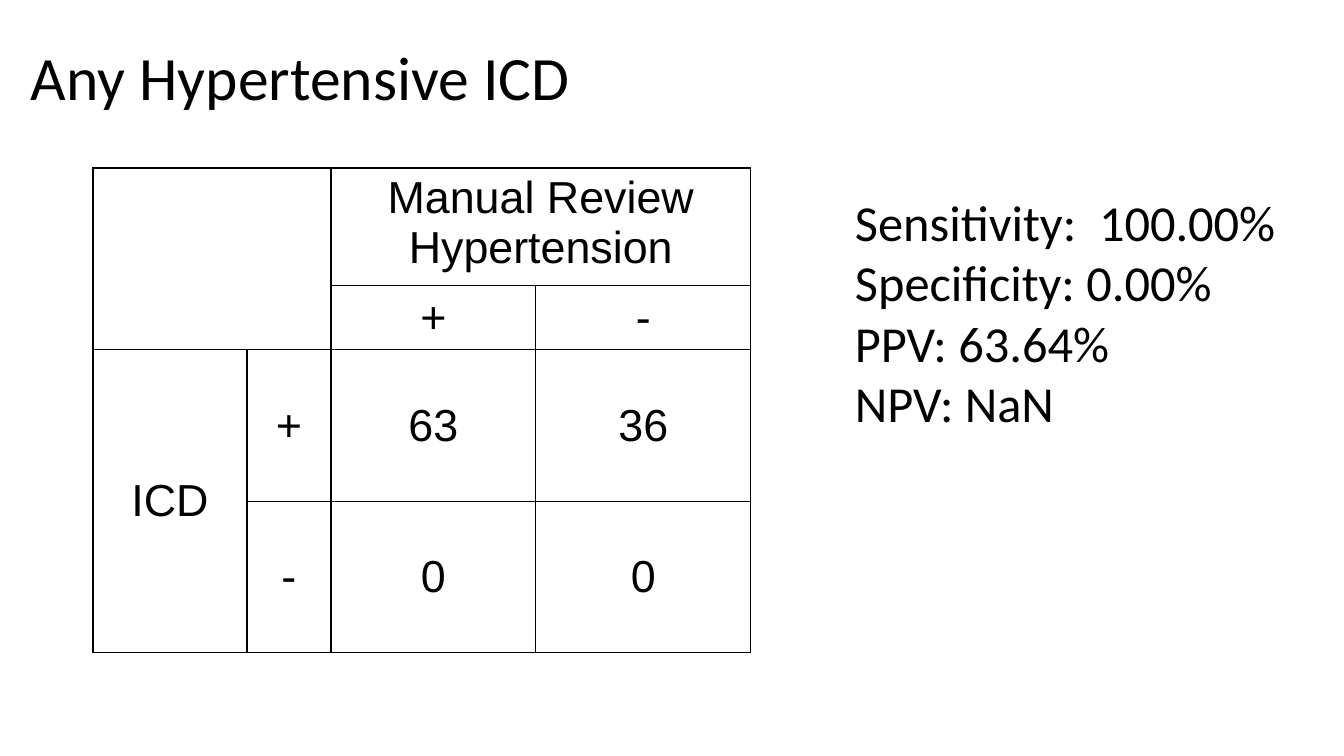
from dataclasses import dataclass

from lxml.etree import SubElement
from pptx import Presentation
from pptx.dml.color import RGBColor
from pptx.enum.text import MSO_ANCHOR, PP_ALIGN
from pptx.oxml.ns import qn
from pptx.util import Emu, Pt

SCALE = 914400 / 100.8
BLACK = "000000"


@dataclass(frozen=True)
class TextBlock:
    left: int
    top: int
    width: int
    height: int
    lines: tuple[str, ...]
    size: int
    anchor: MSO_ANCHOR = MSO_ANCHOR.TOP
    line_spacing: float = 1.0


@dataclass(frozen=True)
class TableCell:
    row: int
    column: int
    text: str = ""
    row_span: int = 1
    column_span: int = 1


def px(pixels: int) -> Emu:
    return Emu(round(pixels * SCALE))


def color(value: str) -> RGBColor:
    return RGBColor.from_string(value)


def write_text(para, text: str, *, font: str, size: int,
               align: PP_ALIGN = PP_ALIGN.LEFT, line_spacing: float = 1.0) -> None:
    para.alignment = align
    para.line_spacing = line_spacing
    span = para.add_run()
    span.text = text
    span.font.name = font
    span.font.size = Pt(size)
    span.font.color.rgb = color(BLACK)


def draw_text_block(page, block: TextBlock) -> None:
    box = page.shapes.add_textbox(px(block.left), px(block.top),
                                  px(block.width), px(block.height))
    frame = box.text_frame
    frame.word_wrap = True
    frame.vertical_anchor = block.anchor
    for index, line in enumerate(block.lines):
        para = frame.add_paragraph() if index else frame.paragraphs[0]
        write_text(para, line, font="Calibri", size=block.size,
                   line_spacing=block.line_spacing)


def draw_borders(cell) -> None:
    properties = cell._tc.get_or_add_tcPr()
    for position, side in enumerate(("lnL", "lnR", "lnT", "lnB")):
        line = SubElement(properties, qn(f"a:{side}"), w=str(Pt(1)))
        fill = SubElement(line, qn("a:solidFill"))
        SubElement(fill, qn("a:srgbClr"), val=BLACK)
        properties.insert(position, line)


def draw_table(page, left: int, top: int, columns: tuple[int, ...],
               rows: tuple[int, ...], cells: tuple[TableCell, ...]) -> None:
    table = page.shapes.add_table(len(rows), len(columns), px(left), px(top),
                                  px(sum(columns)), px(sum(rows))).table
    table.first_row = False
    table.horz_banding = False
    for column, width in zip(table.columns, columns):
        column.width = px(width)
    for row, height in zip(table.rows, rows):
        row.height = px(height)
    for cell in table.iter_cells():
        cell.fill.background()
        draw_borders(cell)
    for item in cells:
        cell = table.cell(item.row, item.column)
        if item.row_span * item.column_span > 1:
            cell.merge(table.cell(item.row + item.row_span - 1,
                                  item.column + item.column_span - 1))
        if item.text:
            cell.vertical_anchor = MSO_ANCHOR.MIDDLE if item.row else MSO_ANCHOR.TOP
            write_text(cell.text_frame.paragraphs[0], item.text, font="Arial",
                       size=32, align=PP_ALIGN.CENTER)


# Content
TITLE = TextBlock(21, 8, 1301, 146, ("Any Hypertensive ICD",), 44,
                  MSO_ANCHOR.MIDDLE, 0.9)
METRICS = TextBlock(845, 186, 453, 254,
                    ("Sensitivity:  100.00%", "Specificity: 0.00%",
                     "PPV: 63.64%", "NPV: NaN"), 36)
CONFUSION_CELLS = (
    TableCell(0, 0, row_span=2, column_span=2),
    TableCell(0, 2, "Manual Review Hypertension", column_span=2),
    TableCell(1, 2, "+"),
    TableCell(1, 3, "-"),
    TableCell(2, 0, "ICD", row_span=2),
    TableCell(2, 1, "+"),
    TableCell(2, 2, "63"),
    TableCell(2, 3, "36"),
    TableCell(3, 1, "-"),
    TableCell(3, 2, "0"),
    TableCell(3, 3, "0"),
)

# Slide
deck = Presentation()
deck.slide_width = px(1344)
deck.slide_height = px(756)
page = deck.slides.add_slide(deck.slide_layouts[6])

# Title, confusion table and metrics
draw_text_block(page, TITLE)
draw_table(page, 93, 168, (154, 84, 205, 215), (111, 60, 152, 151), CONFUSION_CELLS)
draw_text_block(page, METRICS)

deck.save("out.pptx")
